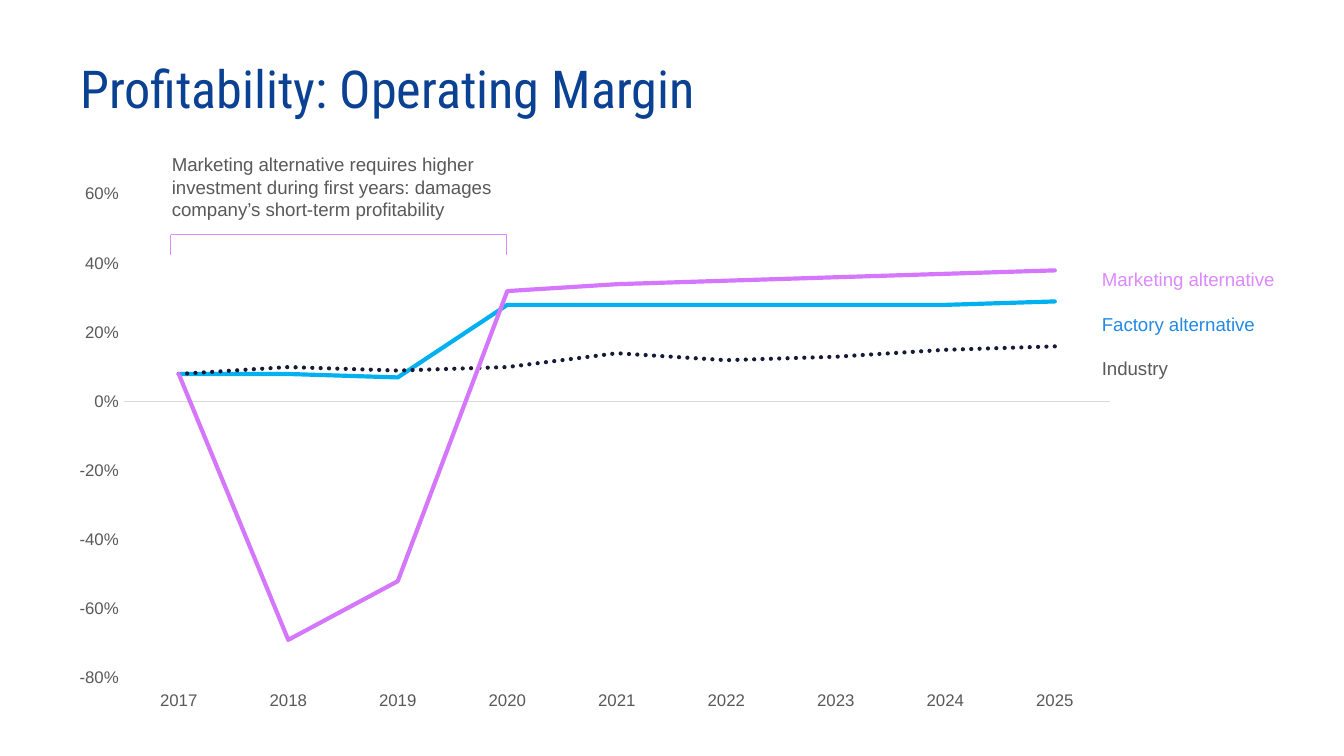
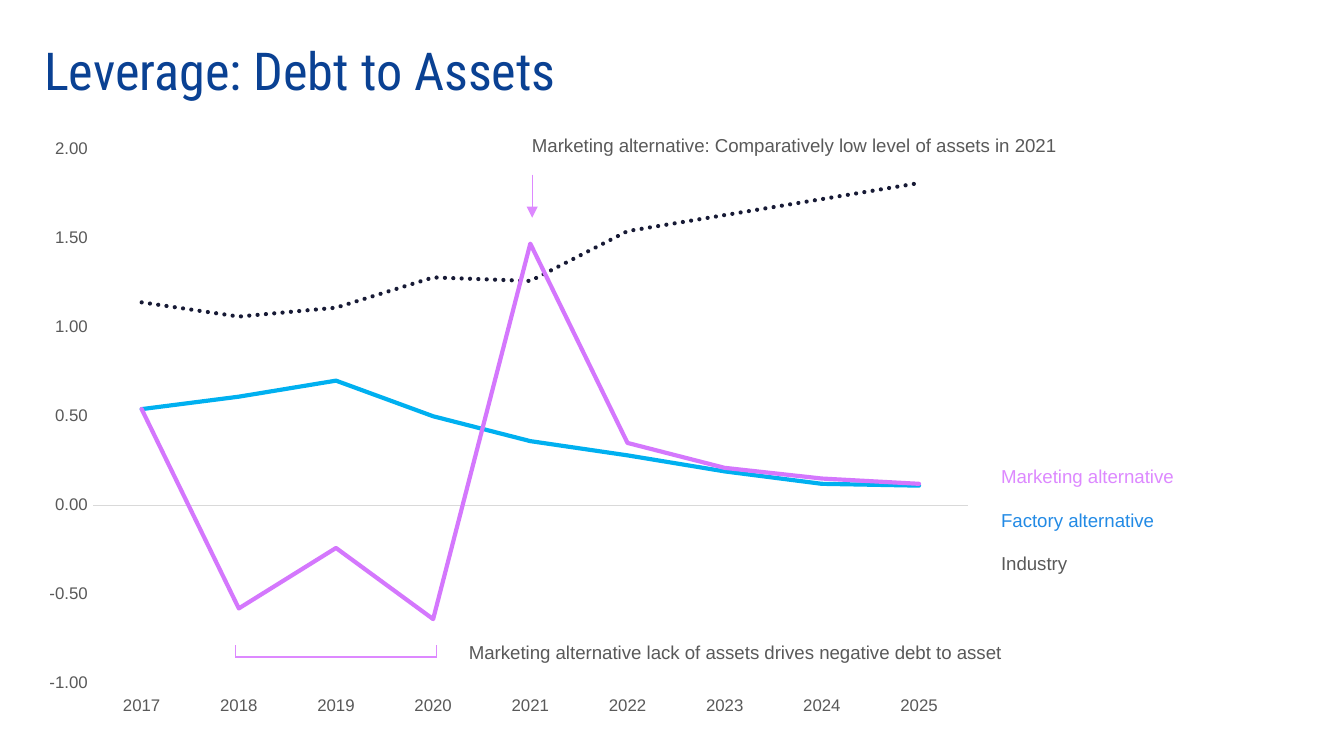
"""Build two line-chart slides comparing marketing and factory alternatives."""
from dataclasses import dataclass
from lxml.etree import SubElement
from pptx import Presentation
from pptx.chart.data import CategoryChartData as Data
from pptx.dml.color import RGBColor as Rgb
from pptx.enum.chart import XL_CHART_TYPE as Kind, XL_TICK_LABEL_POSITION as Place
from pptx.enum.chart import XL_TICK_MARK as Tick
from pptx.enum.dml import MSO_LINE as Dash
from pptx.enum.shapes import MSO_CONNECTOR as Link
from pptx.enum.text import MSO_ANCHOR as Anchor, MSO_AUTO_SIZE as Auto
from pptx.oxml.ns import qn
from pptx.util import Inches, Pt


@dataclass(frozen=True)
class Theme:
    head: str = "0A4193"
    grey: str = "595959"
    rule: str = "D9D9D9"
    mark: str = "DD89FF"
    plant: str = "228AE5"
    blue: str = "00B0F0"
    navy: str = "171A35"
    pink: str = "D477FD"
    title: float = 28
    body: float = 10
    tick: float = 9
    thin: float = 0.75
    thick: float = 2.25
    face: str = "Arial"
    display: str = "Roboto Condensed"


look = Theme()
deck = Presentation()
deck.slide_width = Inches(10)
deck.slide_height = deck.slide_width * 9 // 16
cell = deck.slide_width / 100


def write(slide, words, box, color, size=look.body, face=look.face):
    shape = slide.shapes.add_textbox(*[int(n * cell) for n in box])
    frame = shape.text_frame
    frame.word_wrap = True
    frame.auto_size = Auto.SHAPE_TO_FIT_TEXT
    frame.text = words
    font = frame.paragraphs[0].font
    font.name, font.size = face, Pt(size)
    font.color.rgb = Rgb.from_string(color)
    return frame


def draw(slide, ends):
    wire = slide.shapes.add_connector(Link.STRAIGHT, *[int(n * cell) for n in ends])
    wire.line.width = Pt(look.thin)
    wire.line.color.rgb = Rgb.from_string(look.mark)
    SubElement(wire._element.spPr, qn("a:effectLst"))
    return wire


years = [str(year) for year in range(2017, 2026)]
names = ["Series 1", "Series 2", "Series 3"]
inks = [look.blue, look.navy, look.pink]
keys = [("Marketing alternative", look.mark), ("Factory alternative", look.plant),
        ("Industry", look.grey)]

pages = [
    dict(
        title="Profitability: Operating Margin", head=(5, 4.5, 90, 4.1),
        chart=(5, 8.3, 79.8, 44.7), plot=(5.3, 13.8, 91.9, 80.5),
        scale=(-0.8, 0.6, 0.2), form="0%",
        rows=[[0.08, 0.08, 0.07, 0.28, 0.28, 0.28, 0.28, 0.28, 0.29],
              [0.08, 0.1, 0.09, 0.1, 0.14, 0.12, 0.13, 0.15, 0.16],
              [0.08, -0.69, -0.52, 0.32, 0.34, 0.35, 0.36, 0.37, 0.38]],
        key=(81, 19.45, 19, 3.3), span=(12.7, 37.7, 17.45, 19), arrow=None,
        notes=[("Marketing alternative requires higher investment during first years: "
                "damages company’s short-term profitability", (11.8, 10.9, 27.9, 6.1))],
    ),
    dict(
        title="Leverage: Debt to Assets", head=(2.3, 3.1, 90, 4.1),
        chart=(2.3, 9.5, 71.2, 44.7), plot=(6.5, 3.6, 91.4, 88.9),
        scale=(-1, 2, 0.5), form="0.00",
        rows=[[0.54, 0.61, 0.7, 0.5, 0.36, 0.28, 0.19, 0.12, 0.11],
              [1.14, 1.06, 1.11, 1.28, 1.26, 1.54, 1.63, 1.72, 1.81],
              [0.54, -0.58, -0.24, -0.64, 1.47, 0.35, 0.21, 0.15, 0.12]],
        key=(73.5, 34.1, 17.8, 3.25), span=(17.5, 32.5, 48.9, 48),
        arrow=(39.6, 13, 39.6, 16.2),
        notes=[("Marketing alternative: Comparatively low level of assets in 2021",
                (38.6, 9.5, 41.7, 2.7)),
               ("Marketing alternative lack of assets drives negative debt to asset",
                (33.9, 47.2, 41.7, 2.7))],
    ),
]

for page in pages:
    slide = deck.slides.add_slide(deck.slide_layouts[6])
    head = write(slide, page["title"], page["head"], look.head, look.title, look.display)
    head.auto_size = Auto.NONE
    head.vertical_anchor = Anchor.MIDDLE
    head.margin_top = head.margin_bottom = Inches(0.1)

    data = Data(number_format=page["form"])
    data.categories = years
    for name, row in zip(names, page["rows"]):
        data.add_series(name, row)
    box = [int(n * cell) for n in page["chart"]]
    chart = slide.shapes.add_chart(Kind.LINE, *box, data).chart
    chart.has_legend = chart.has_title = False
    chart.font.name, chart.font.size = look.face, Pt(look.body)
    chart.plots[0].vary_by_categories = False

    for line, ink in zip(chart.plots[0].series, inks):
        line.smooth = False
        pen = line.format.line
        pen.width = Pt(look.thick)
        pen.color.rgb = Rgb.from_string(ink)
        if ink == look.navy:
            pen.dash_style = Dash.ROUND_DOT
        for stroke in line._element.iter(qn("a:ln")):
            stroke.set("cap", "rnd")

    base, side = chart.category_axis, chart.value_axis
    for axis in (base, side):
        axis.has_major_gridlines = False
        axis.major_tick_mark = axis.minor_tick_mark = Tick.NONE
        font = axis.tick_labels.font
        font.name, font.size = look.face, Pt(look.tick)
        font.color.rgb = Rgb.from_string(look.grey)
    base.tick_label_position = Place.LOW
    base.format.line.width = Pt(look.thin)
    base.format.line.color.rgb = Rgb.from_string(look.rule)
    side.format.line.fill.background()
    side.minimum_scale, side.maximum_scale, side.major_unit = page["scale"]
    side.tick_labels.number_format = page["form"]
    side.tick_labels.number_format_is_linked = False

    area = chart._chartSpace.find(".//" + qn("c:plotArea"))
    for old in area.findall(qn("c:layout")):
        area.remove(old)
    plan = SubElement(area, qn("c:layout"))
    area.insert(0, plan)
    grid = SubElement(plan, qn("c:manualLayout"))
    parts = [("layoutTarget", "inner"), ("xMode", "edge"), ("yMode", "edge")]
    parts += [(tag, f"{n / 100:.3f}") for tag, n in zip("xywh", page["plot"])]
    for tag, val in parts:
        SubElement(grid, qn("c:" + tag)).set("val", val)

    left, top, width, step = page["key"]
    for i, (words, color) in enumerate(keys):
        write(slide, words, (left, top + step * i, width, 3), color)

    start, end, bar, tip = page["span"]
    for ends in [(start, bar, end, bar), (start, bar, start, tip), (end, bar, end, tip)]:
        draw(slide, ends)
    if page["arrow"]:
        arrow = draw(slide, page["arrow"])
        for stroke in arrow._element.iter(qn("a:ln")):
            SubElement(stroke, qn("a:tailEnd")).set("type", "triangle")
    for words, spot in page["notes"]:
        write(slide, words, spot, look.grey)

deck.save("out.pptx")
